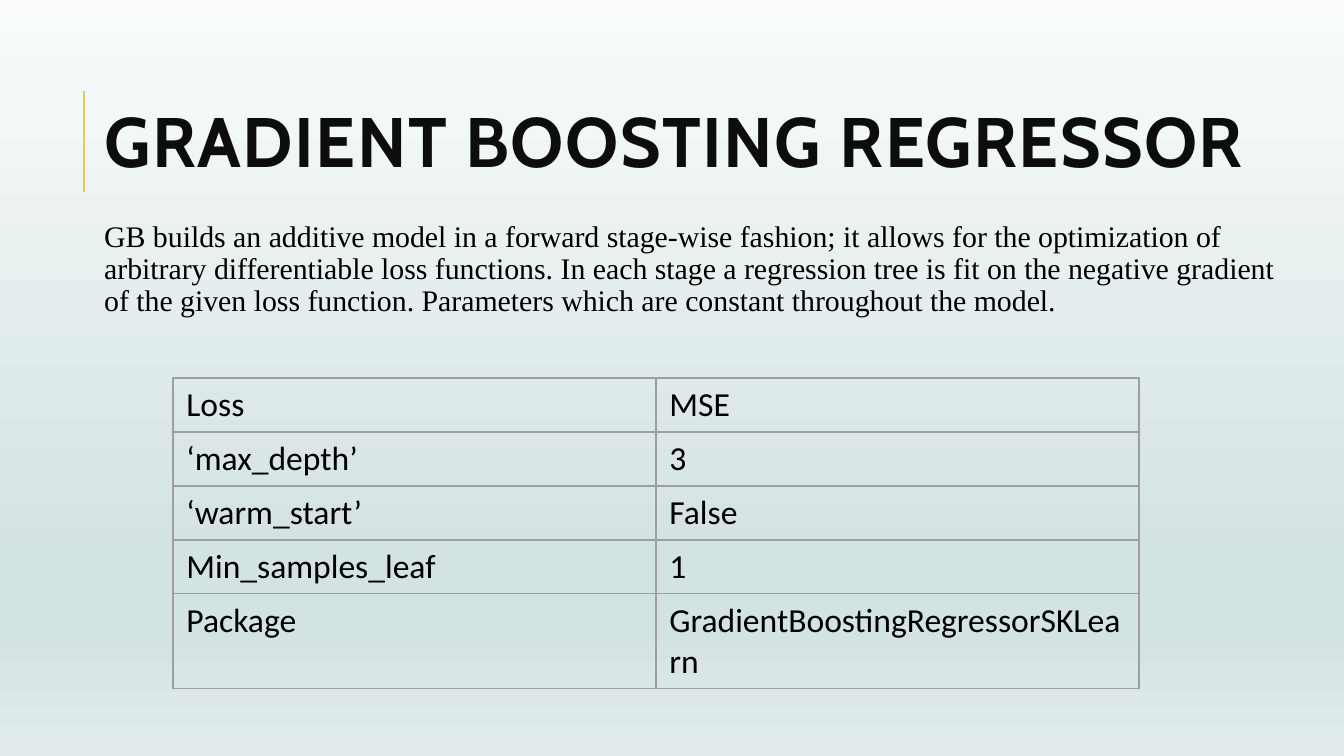
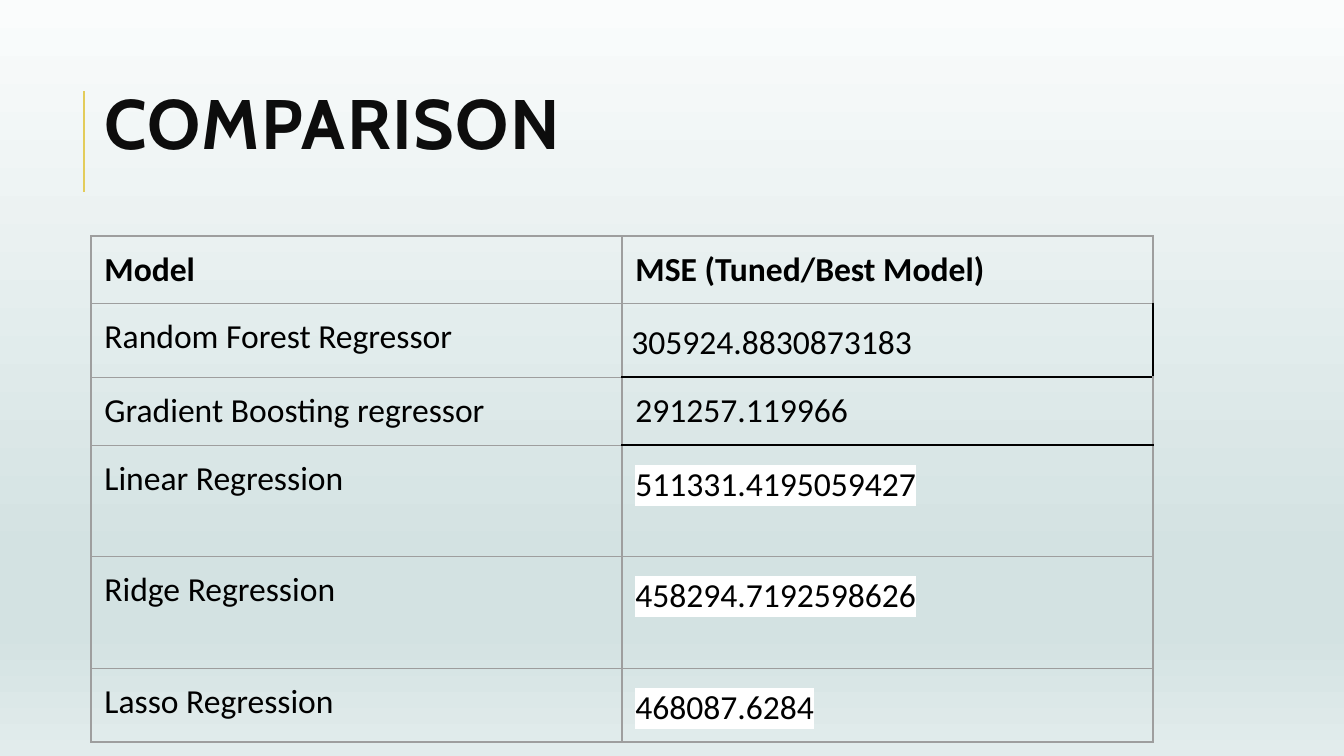
"""Build two slides on regression models: boosting parameters and a comparison of errors."""
from lxml import etree
from pptx import Presentation, util as u
from pptx.dml.color import RGBColor
from pptx.enum import shapes, text
from pptx.oxml.ns import qn

PX = 914400 / 134.4
COLORS = {"title": "0D0D0D", "body": "000000", "accent": "E3CC5A",
          "grid": "9E9E9E", "strong": "000000", "highlight": "FFFFFF"}
BACKDROP = [(0, "FAFCFC"), (74, "D3E2E2"), (83, "D3E2E2"), (100, "E2ECEC")]

SUMMARY = ("GB builds an additive model in a forward stage-wise fashion; it allows for the "
           "optimization of arbitrary differentiable loss functions. In each stage a regression "
           "tree is fit on the negative gradient of the given loss function. Parameters which "
           "are constant throughout the model.")
PARAMETERS = [("Loss", "MSE"), ("‘max_depth’", "3"), ("‘warm_start’", "False"),
              ("Min_samples_leaf", "1"), ("Package", "GradientBoostingRegressorSKLearn")]
SCORES = [("Model", "MSE (Tuned/Best Model)"),
          ("Random Forest Regressor", "305924.8830873183"),
          ("Gradient Boosting regressor", "291257.119966"),
          ("Linear Regression", "511331.4195059427"),
          ("Ridge Regression", "458294.7192598626"),
          ("Lasso Regression", "468087.6284")]
STRONG_EDGES = {1: "RB", 2: "TB", 3: "T"}
FIRST_SCORE, LAST_SCORE = 1, 5
HIGHLIGHTED = (3, 4, 5)


def px(length):
    return u.Emu(round(length * PX))


def add_color(parent, tag, value):
    holder = etree.SubElement(parent, qn(tag))
    etree.SubElement(holder, qn("a:srgbClr"), val=value)
    return holder


def style(paragraph, size, family, color, bold=False):
    font = paragraph.font
    font.size, font.name, font.bold = u.Pt(size), family, bold
    font.color.rgb = RGBColor.from_string(COLORS[color])


def add_words(slide, words, left, top, width, height, anchor):
    frame = slide.shapes.add_textbox(px(left), px(top), px(width), px(height)).text_frame
    frame.word_wrap = True
    frame.vertical_anchor = anchor
    frame.margin_left = frame.margin_right = frame.margin_top = frame.margin_bottom = u.Inches(0.1)
    paragraph = frame.paragraphs[0]
    paragraph.add_run().text = words
    return paragraph


def add_slide(deck, title, title_top):
    slide = deck.slides.add_slide(deck.slide_layouts[6])
    fill = slide.background.fill
    fill.gradient()
    fill.gradient_angle = 270
    stops = slide.element.find(".//" + qn("a:gsLst"))
    for stop in list(stops):
        stops.remove(stop)
    for percent, color in BACKDROP:
        add_color(stops, "a:gs", color).set("pos", str(percent * 1000))

    rule = slide.shapes.add_connector(shapes.MSO_CONNECTOR.STRAIGHT,
                                      px(84), px(192), px(84), px(91))
    rule.line.color.rgb = RGBColor.from_string(COLORS["accent"])
    rule.line.width = u.Pt(1.5)
    etree.SubElement(rule.element.spPr, qn("a:effectLst"))

    heading = add_words(slide, title, 91, title_top, 1253, 84, text.MSO_ANCHOR.MIDDLE)
    heading.line_spacing = 0.8
    style(heading, 37.5, "Cabin", "title", bold=True)
    heading.runs[0].font._element.set("spc", "80")
    return slide


def add_borders(cell, strong=""):
    properties = cell._tc.get_or_add_tcPr()
    for position, side in enumerate("LRTB"):
        color, width = ("strong", 1) if side in strong else ("grid", 0.75)
        edge = etree.Element(qn("a:ln" + side), w=str(u.Pt(width)))
        add_color(edge, "a:solidFill", COLORS[color])
        properties.insert(position, edge)


def add_grid(slide, rows, left, top, column_width, heights, strong_edges):
    table = slide.shapes.add_table(len(rows), 2, px(left), px(top),
                                   px(2 * column_width), px(sum(heights))).table
    table.first_row = table.horz_banding = False
    for column in table.columns:
        column.width = px(column_width)
    for r, (words, height) in enumerate(zip(rows, heights)):
        table.rows[r].height = px(height)
        for c, word in enumerate(words):
            cell = table.cell(r, c)
            cell.fill.background()
            add_borders(cell, strong_edges.get(r, "") if c else "")
            paragraph = cell.text_frame.paragraphs[0]
            paragraph.add_run().text = word
            style(paragraph, 18, "Calibri", "body")
    return table


def build_boosting(deck):
    slide = add_slide(deck, "GRADIENT BOOSTING REGRESSOR", 105)
    summary = add_words(slide, SUMMARY, 91, 208, 1207, 530, text.MSO_ANCHOR.TOP)
    summary.line_spacing = 0.9
    summary.space_before = u.Pt(10)
    style(summary, 16, "Times New Roman", "body")
    add_grid(slide, PARAMETERS, 173, 378, 483, [54, 54, 54, 54, 95], {})


def build_comparison(deck):
    slide = add_slide(deck, "COMPARISON", 87)
    table = add_grid(slide, SCORES, 91, 236, 531, [67, 74, 68, 111, 112, 74], STRONG_EDGES)
    for cell in table.iter_cells():
        cell.margin_left = cell.margin_right = u.Inches(0.1)
        cell.margin_top = cell.margin_bottom = u.Inches(0.1)
    for c in range(2):
        table.cell(0, c).text_frame.paragraphs[0].font.bold = True

    first = table.cell(FIRST_SCORE, 1)
    first.margin_left = first.margin_right = u.Inches(0.07)
    for r in (FIRST_SCORE, *HIGHLIGHTED):
        score = table.cell(r, 1).text_frame.paragraphs[0]
        score.line_spacing = 1.15
        if r in HIGHLIGHTED:
            add_color(score.runs[0].font._element, "a:highlight", COLORS["highlight"])
    first.text_frame.paragraphs[0].space_before = u.Pt(12)
    table.cell(LAST_SCORE, 1).text_frame.paragraphs[0].space_after = u.Pt(16)


def main():
    deck = Presentation()
    deck.slide_width, deck.slide_height = px(1344), px(756)
    build_boosting(deck)
    build_comparison(deck)
    deck.save("out.pptx")


if __name__ == "__main__":
    main()
